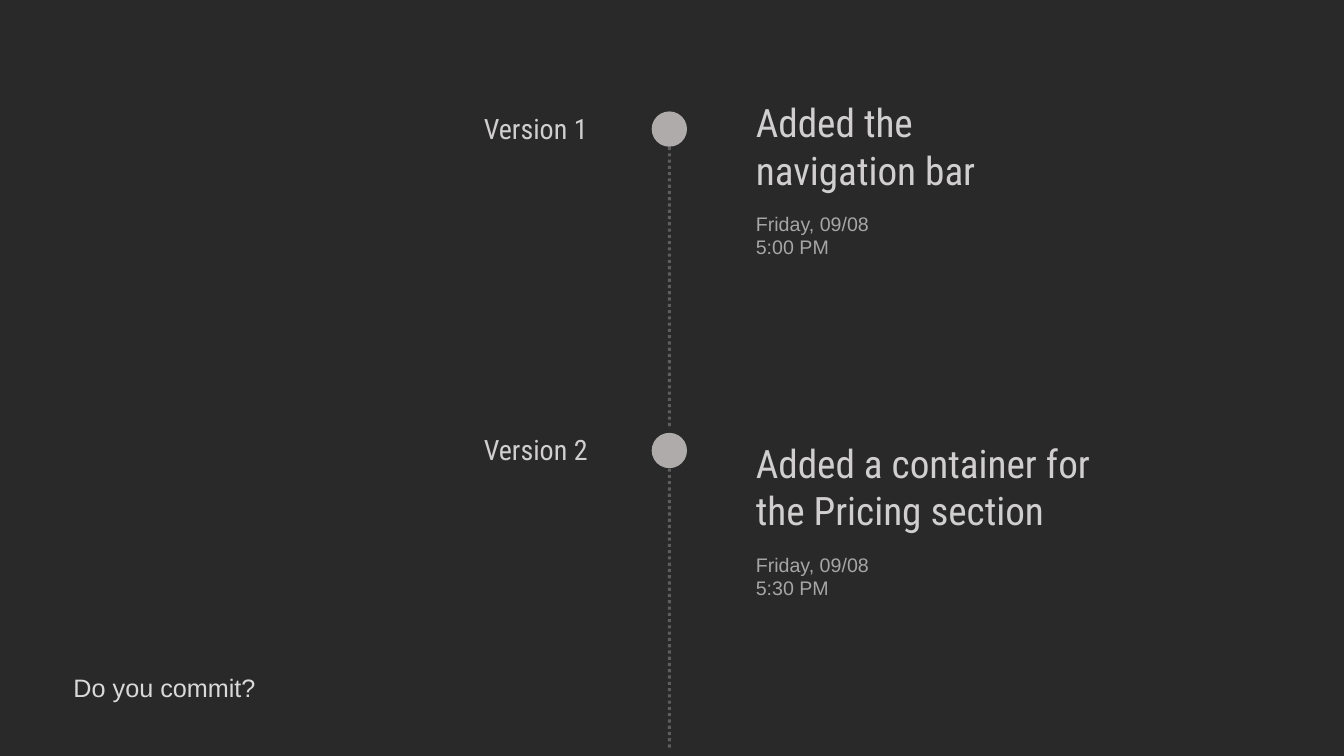
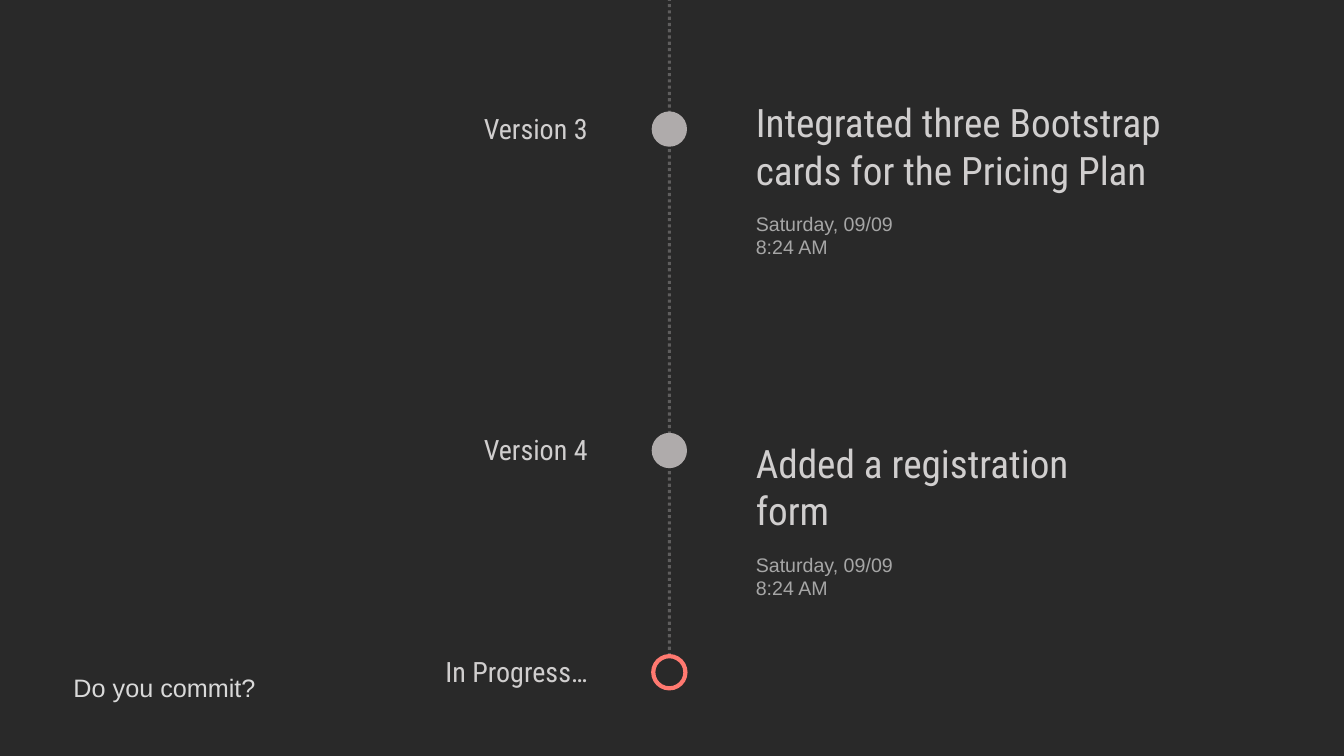
import pptx
import pptx.util
import pptx.dml.color
import pptx.enum.dml
import pptx.enum.shapes
import pptx.enum.text
import pptx.oxml
import pptx.oxml.ns

Pt = pptx.util.Pt
COLORS = {"back": "292929", "dot": "AFABAB", "ring": "FF7970",
          "head": "D0CECE", "date": "A6A6A6", "foot": "D9D9D9"}
SANS, TITLE = "Arial", "Roboto Condensed"
WIDE, HIGH = 960, 540
AXIS, DOT = 478.1, 23
ROWS = (92.2, 321.8, 480.2)  # heights of the dot centres
TOPS = (67, 310.3)  # tops of the entry texts


def rgb(name):
    return pptx.dml.color.RGBColor.from_string(COLORS[name])


def add_text(slide, box, lines, right=False):
    """Each line is (text, size, font, colour)."""
    shape = slide.shapes.add_textbox(*map(Pt, box))
    frame = shape.text_frame
    frame.word_wrap = True
    frame.text = "\n".join(line[0] for line in lines)
    for para, (_, size, font, color) in zip(frame.paragraphs, lines):
        if right:
            para.alignment = pptx.enum.text.PP_ALIGN.RIGHT
        style = para.runs[0].font
        style.size, style.name = Pt(size), font
        style.color.rgb = rgb(color)
    return frame


def add_line(slide, top, end):
    line = slide.shapes.add_connector(
        pptx.enum.shapes.MSO_CONNECTOR.STRAIGHT,
        Pt(AXIS), Pt(end), Pt(AXIS), Pt(top))
    line.line.width = Pt(2.25)
    line.line.color.rgb = rgb("dot")
    line.line.dash_style = pptx.enum.dml.MSO_LINE.ROUND_DOT
    # Transparency and no shadow
    props = line.element.spPr
    tint = props.find(".//" + pptx.oxml.ns.qn("a:srgbClr"))
    alpha = pptx.oxml.parse_xml(
        "<a:alpha %s val='40000'/>" % pptx.oxml.ns.nsdecls("a"))
    tint.append(alpha)
    props.append(pptx.oxml.parse_xml(
        "<a:effectLst %s/>" % pptx.oxml.ns.nsdecls("a")))


def add_mark(slide, mid, label, done=True):
    # Label left of the axis
    add_text(slide, (253.4, mid - 16.4, 173.5, 31.7),
             [(label, 20, TITLE, "head")], right=True)
    # Filled dot, or open ring for work in progress
    dot = slide.shapes.add_shape(
        pptx.enum.shapes.MSO_SHAPE.OVAL,
        Pt(AXIS - DOT / 2), Pt(mid - DOT / 2), Pt(DOT), Pt(DOT))
    dot.shadow.inherit = False
    if done:
        dot.fill.solid()
        dot.fill.fore_color.rgb = rgb("dot")
    else:
        dot.fill.background()
    dot.line.color.rgb = rgb("dot" if done else "ring")
    dot.line.width = Pt(2.25 if done else 3)


def add_entry(slide, top, width, title, day, time):
    frame = add_text(slide, (532.8, top, width, 123.8),
                     [(title, 28, TITLE, "head"),
                      (day, 14, SANS, "date"),
                      (time, 14, SANS, "date")])
    frame.paragraphs[1].space_before = Pt(13.5)


def add_slide(deck, spans, marks, entries):
    slide = deck.slides.add_slide(deck.slide_layouts[6])
    fill = slide.background.fill
    fill.solid()
    fill.fore_color.rgb = rgb("back")
    # Footer
    add_text(slide, (45.4, 476.6, 186.5, 29),
             [("Do you commit?", 18, SANS, "foot")])
    # Timeline
    for span in spans:
        add_line(slide, *span)
    for mid, label in zip(ROWS, marks):
        add_mark(slide, mid, label, label.startswith("Version"))
    for top, entry in zip(TOPS, entries):
        add_entry(slide, top, *entry)


deck = pptx.Presentation()
deck.slide_width, deck.slide_height = Pt(WIDE), Pt(HIGH)
first, second, third = ROWS
half = DOT / 2

add_slide(
    deck,
    [(first + half, second - half - 6), (second + half, HIGH - 6)],
    ["Version 1", "Version 2"],
    [(173.5, "Added the navigation bar", "Friday, 09/08", "5:00 PM"),
     (268.6, "Added a container for the Pricing section",
      "Friday, 09/08", "5:30 PM")])
add_slide(
    deck,
    [(0, first + half), (first - half, second - half),
     (second + half, third - half)],
    ["Version 3", "Version 4", "In Progress…"],
    [(328.3, "Integrated three Bootstrap cards for the Pricing Plan",
      "Saturday, 09/09", "8:24 AM"),
     (268.6, "Added a registration form", "Saturday, 09/09", "8:24 AM")])

deck.save("out.pptx")
